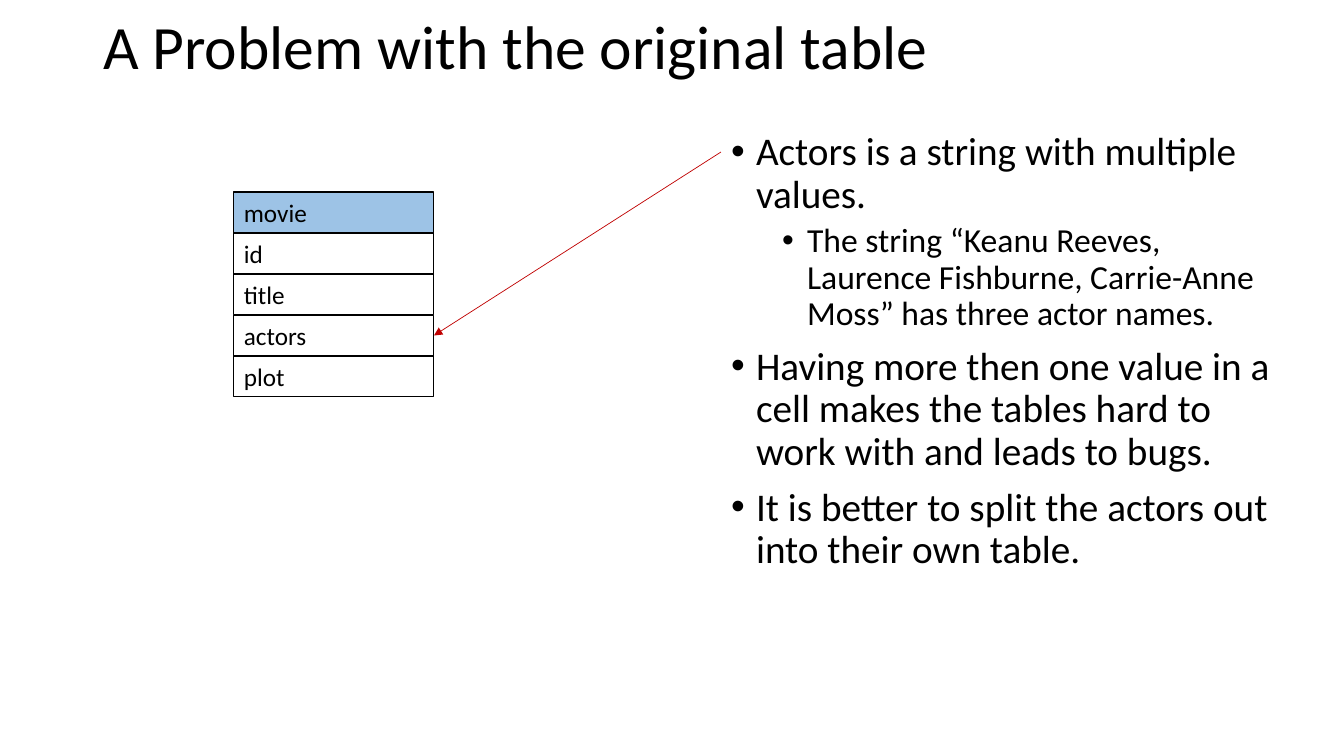
from lxml.etree import SubElement
from pptx import Presentation
from pptx.dml.color import RGBColor
from pptx.enum.shapes import MSO_CONNECTOR, MSO_SHAPE
from pptx.enum.text import MSO_ANCHOR, MSO_AUTO_SIZE, PP_ALIGN
from pptx.oxml.ns import qn
from pptx.util import Pt

TITLE = "A Problem with the original table"
MOVIE_FIELDS = ["movie", "id", "title", "actors", "plot"]
POINTS = [  # (level, text)
    (0, "Actors is a string with multiple values."),
    (1, "The string “Keanu Reeves, Laurence Fishburne, Carrie-Anne Moss” has three actor names."),
    (0, "Having more then one value in a cell makes the tables hard to work with and leads to bugs."),
    (0, "It is better to split the actors out into their own table."),
]
LEVELS = [  # size pt, space before pt, left margin px
    (28, 10, 25),
    (24, 5, 76),
]

FONT = "Calibri"
BLACK = RGBColor(0x00, 0x00, 0x00)
HEADER_BLUE = RGBColor(0x9D, 0xC3, 0xE6)
ARROW_RED = RGBColor(0xC0, 0x00, 0x00)

PX = 12192000 / 1344
SLIDE_SIZE = (1344, 756)
TITLE_BOX = (93, 0, 1159, 99)
POINTS_BOX = (721, 127, 571, 480)
TABLE_LEFT, TABLE_TOP, TABLE_WIDTH, ROW_HEIGHT = 234, 192, 200, 41
ARROW_START = (721, 152)
BULLET_INDENT = 25


def px(length):
    return round(length * PX)


def place(shape, box):
    shape.left, shape.top, shape.width, shape.height = map(px, box)


def format_runs(paragraph, size):
    for run in paragraph.runs:
        run.font.name = FONT
        run.font.size = Pt(size)
        run.font.color.rgb = BLACK


def add_title(slide):
    title = slide.shapes.title
    place(title, TITLE_BOX)
    frame = title.text_frame
    frame.text = TITLE
    frame.auto_size = MSO_AUTO_SIZE.NONE
    frame.vertical_anchor = MSO_ANCHOR.MIDDLE
    heading = frame.paragraphs[0]
    heading.alignment = PP_ALIGN.LEFT
    heading.line_spacing = 0.9
    format_runs(heading, 44)


def add_points(slide):
    body = slide.placeholders[1]
    place(body, POINTS_BOX)
    frame = body.text_frame
    frame.text = "\n".join(text for _, text in POINTS)
    frame.auto_size = MSO_AUTO_SIZE.NONE
    for point, (level, _) in zip(frame.paragraphs, POINTS):
        size, space_before, margin = LEVELS[level]
        point.level = level
        point.line_spacing = 0.9
        point.space_before = Pt(space_before)
        format_runs(point, size)
        properties = point._p.get_or_add_pPr()
        properties.set("marL", str(px(margin)))
        properties.set("indent", str(-px(BULLET_INDENT)))
        SubElement(properties, qn("a:buFont"), typeface="Arial")
        SubElement(properties, qn("a:buChar"), char="•")


def add_movie_table(slide):
    """Stack one box per field and return the boxes by field name."""
    group = slide.shapes.add_group_shape()
    boxes = {}
    for row, field in enumerate(MOVIE_FIELDS):
        box = group.shapes.add_shape(MSO_SHAPE.RECTANGLE, 0, 0, 0, 0)
        place(box, (TABLE_LEFT, TABLE_TOP + row * ROW_HEIGHT, TABLE_WIDTH, ROW_HEIGHT))
        box.shadow.inherit = False
        if row == 0:
            box.fill.solid()
            box.fill.fore_color.rgb = HEADER_BLUE
        else:
            box.fill.background()
        box.line.color.rgb = BLACK
        box.line.width = Pt(0.75)
        frame = box.text_frame
        frame.text = field
        frame.word_wrap = True
        frame.vertical_anchor = MSO_ANCHOR.TOP
        frame.paragraphs[0].alignment = PP_ALIGN.LEFT
        format_runs(frame.paragraphs[0], 18)
        boxes[field] = box
    return boxes


def add_arrow(slide, target):
    """Point from the first bullet to the right edge of the target."""
    arrow = slide.shapes.add_connector(
        MSO_CONNECTOR.STRAIGHT, *map(px, ARROW_START),
        target.left + target.width, target.top + target.height // 2)
    arrow.line.color.rgb = ARROW_RED
    arrow.line.width = Pt(0.5)
    SubElement(arrow.line._get_or_add_ln(), qn("a:tailEnd"), type="triangle")
    SubElement(arrow._element.spPr, qn("a:effectLst"))


def main():
    deck = Presentation()
    deck.slide_width, deck.slide_height = map(px, SLIDE_SIZE)
    slide = deck.slides.add_slide(deck.slide_layouts[1])
    add_title(slide)
    boxes = add_movie_table(slide)
    add_points(slide)
    add_arrow(slide, boxes["actors"])
    deck.save("out.pptx")


if __name__ == "__main__":
    main()
